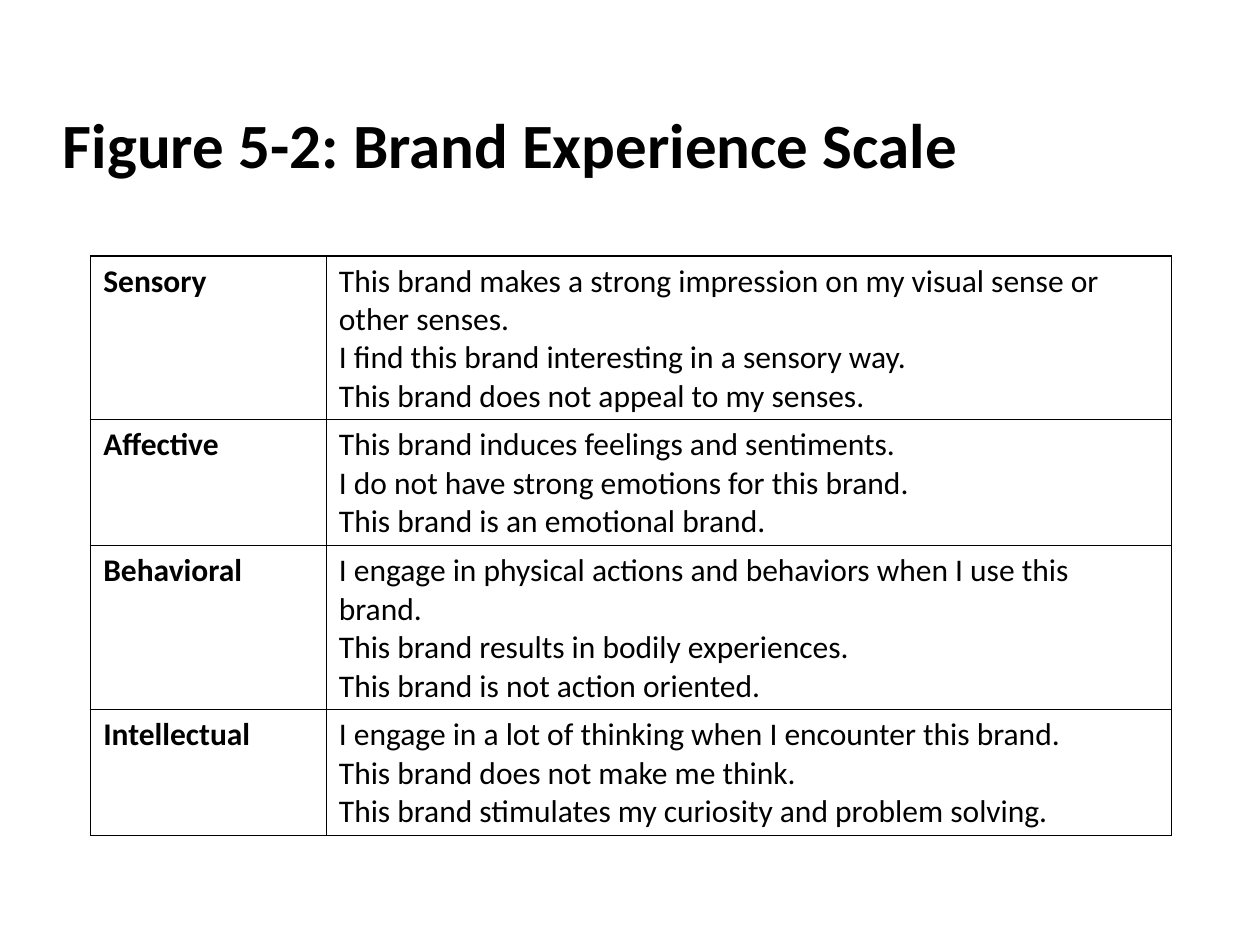
from lxml import etree
from pptx import Presentation
from pptx.dml.color import RGBColor
from pptx.enum.text import MSO_ANCHOR
from pptx.oxml.ns import qn
from pptx.util import Inches, Pt

BOTTOM = MSO_ANCHOR.BOTTOM
BLACK = RGBColor(0, 0, 0)
FONT = "Calibri"

TITLE = "Figure 5-2: Brand Experience Scale"
SCALE = [
    ("Sensory", [
        "This brand makes a strong impression on my visual sense or other senses.",
        "I find this brand interesting in a sensory way.",
        "This brand does not appeal to my senses.",
    ]),
    ("Affective", [
        "This brand induces feelings and sentiments.",
        "I do not have strong emotions for this brand.",
        "This brand is an emotional brand.",
    ]),
    ("Behavioral", [
        "I engage in physical actions and behaviors when I use this brand.",
        "This brand results in bodily experiences.",
        "This brand is not action oriented.",
    ]),
    ("Intellectual", [
        "I engage in a lot of thinking when I encounter this brand.",
        "This brand does not make me think.",
        "This brand stimulates my curiosity and problem solving.",
    ]),
]
WIDTHS = [1.87, 6.71]
ROW = 0.88


def write(frame, lines, size, bold):
    frame.text = "\n".join(lines)
    for para in frame.paragraphs:
        font = para.font
        font.name, font.size, font.bold = FONT, Pt(size), bold
        font.color.rgb = BLACK


def outline(cell):
    """Draw a 1 pt line on all four sides of a cell."""
    props = cell._tc.get_or_add_tcPr()
    for side in ("a:lnL", "a:lnR", "a:lnT", "a:lnB"):
        line = etree.SubElement(props, qn(side), w=str(Pt(1)))
        fill = etree.SubElement(line, qn("a:solidFill"))
        etree.SubElement(fill, qn("a:srgbClr"), val=str(BLACK))


def add_title(slide):
    box = slide.shapes.add_textbox(Inches(0.5), Inches(0.24), Inches(9), Inches(1.2))
    frame = box.text_frame
    frame.word_wrap = True
    frame.vertical_anchor = BOTTOM
    frame.margin_left = frame.margin_right = 0
    frame.margin_top = frame.margin_bottom = 0
    write(frame, [TITLE], 36, True)


def add_scale(slide):
    table = slide.shapes.add_table(
        len(SCALE), len(WIDTHS), Inches(0.72), Inches(2.03),
        Inches(sum(WIDTHS)), Inches(ROW * len(SCALE))).table
    table.first_row = table.horz_banding = False
    for col, width in zip(table.columns, WIDTHS):
        col.width = Inches(width)
    for row, (name, items) in zip(table.rows, SCALE):
        row.height = Inches(ROW)
        for cell, lines, bold in zip(row.cells, ([name], items), (True, False)):
            write(cell.text_frame, lines, 18, bold)
            outline(cell)
            cell.fill.background()


def main():
    deck = Presentation()
    deck.slide_width, deck.slide_height = Inches(10), Inches(7.5)
    slide = deck.slides.add_slide(deck.slide_layouts[6])
    add_title(slide)
    add_scale(slide)
    deck.save("out.pptx")


if __name__ == "__main__":
    main()
